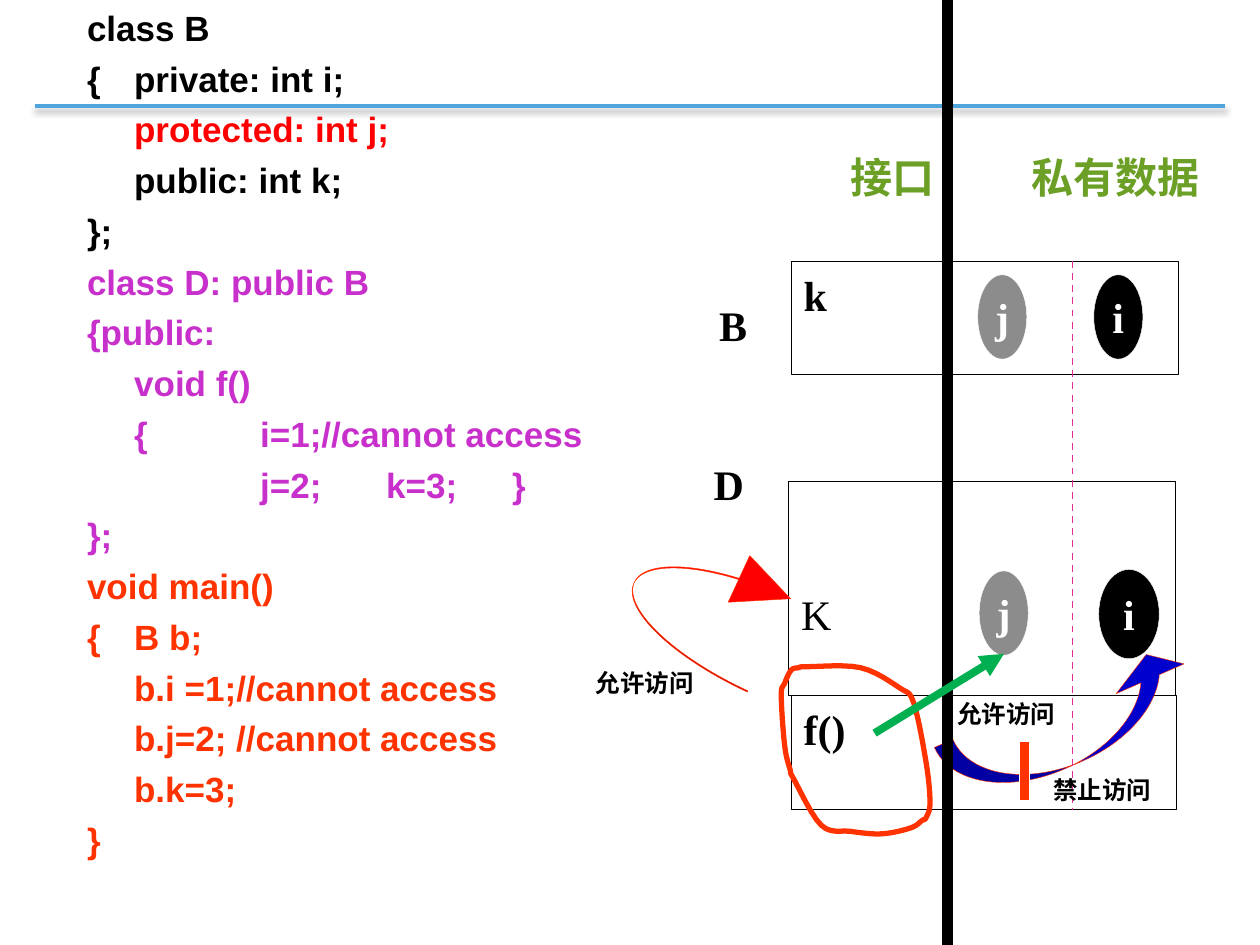
"""Builds the slide on member access under public inheritance in C++."""
from dataclasses import dataclass

from lxml.etree import SubElement
from pptx import Presentation
from pptx.dml.color import RGBColor
from pptx.enum.dml import MSO_LINE
from pptx.enum.shapes import MSO_CONNECTOR, MSO_SHAPE
from pptx.enum.text import MSO_ANCHOR, MSO_AUTO_SIZE, PP_ALIGN
from pptx.oxml.ns import qn
from pptx.util import Cm, Pt

COLORS = {
    "black": "000000", "white": "FFFFFF", "red": "FF0000", "orange": "FF3300",
    "purple": "C830CC", "olive": "6B9F25", "gray": "8C8C8C", "navy": "0000CC",
    "green": "00B050", "pink": "E32D91", "sky": "4EA6DC",
}
SERIF = "Times New Roman"
SANS = "Arial"


@dataclass(frozen=True)
class Box:
    left: float
    top: float
    width: float
    height: float

    def lengths(self) -> tuple:
        return Cm(self.left), Cm(self.top), Cm(self.width), Cm(self.height)


@dataclass(frozen=True)
class Region:
    member: str
    box: Box
    inset: float = 0.17
    bold: bool = True


@dataclass(frozen=True)
class Member:
    name: str
    color: str
    box: Box


@dataclass(frozen=True)
class Label:
    text: str
    box: Box
    color: str = "black"
    size: int = 24
    font: str = SERIF
    align: PP_ALIGN = PP_ALIGN.CENTER
    wrap: bool = True


CODE = [
    ("class B", "black"),
    ("{\tprivate: int i;", "black"),
    ("\tprotected: int j;", "red"),
    ("\tpublic: int k;", "black"),
    ("};", "black"),
    ("class D: public B", "purple"),
    ("{public:", "purple"),
    ("\tvoid f()", "purple"),
    ("\t{\ti=1;//cannot access", "purple"),
    ("\t\tj=2;\tk=3;\t}", "purple"),
    ("};", "purple"),
    ("void main()", "orange"),
    ("{\tB b;", "orange"),
    ("\tb.i =1;//cannot access", "orange"),
    ("\tb.j=2; //cannot access", "orange"),
    ("\tb.k=3;", "orange"),
    ("}", "orange"),
]
REGIONS = [
    Region("K", Box(15.9, 9.7, 7.8, 4.32), inset=2.16, bold=False),
    Region("k", Box(15.95, 5.26, 7.8, 2.29)),
    Region("f()", Box(15.95, 14.02, 7.77, 2.29)),
]
MEMBERS = [
    Member("i", "black", Box(22.05, 5.54, 0.99, 1.7)),
    Member("i", "black", Box(22.15, 11.48, 1.22, 1.8)),
    Member("j", "gray", Box(19.71, 5.54, 0.99, 1.7)),
    Member("j", "gray", Box(19.74, 11.51, 0.99, 1.7)),
]
HEADINGS = [
    Label("接口", Box(15.9, 2.92, 4.19, 1.27), "olive"),
    Label("私有数据", Box(20.4, 2.92, 4.19, 1.27), "olive"),
    Label("B", Box(13.69, 5.92, 2.18, 1.27)),
    Label("D", Box(12.9, 9.12, 3.58, 1.27)),
]
NOTES = [
    Label(text, Box(left, top, 2.51, 0.86), size=14, font=SANS, align=PP_ALIGN.LEFT, wrap=False)
    for text, left, top in [("禁止访问", 20.98, 15.49), ("允许访问", 19.05, 13.97), ("允许访问", 11.76, 13.34)]
]
LOOP = [
    (18.67, 16.48), (18.75, 16.18), (18.67, 15.37), (18.42, 14.17), (18.14, 13.87),
    (17.35, 13.46), (16.28, 13.44), (16.1, 13.46), (15.95, 13.51), (15.82, 13.77),
    (15.75, 14.02), (15.82, 15.04), (15.93, 15.52), (16, 15.7), (16.56, 16.64),
    (17.15, 16.76), (17.78, 16.81), (18.36, 16.69), (18.59, 16.54),
]


def rgb(color: str) -> RGBColor:
    return RGBColor.from_string(COLORS[color])


def write(paragraph, text: str, *, font: str = SERIF, size: int = 24, color: str = "black",
          bold: bool = True, align: PP_ALIGN = PP_ALIGN.LEFT, before: float = 0) -> None:
    paragraph.alignment = align
    paragraph.space_before = Pt(before)
    run = paragraph.add_run()
    run.text = text
    run.font.name, run.font.size, run.font.bold = font, Pt(size), bold
    run.font.color.rgb = rgb(color)


def draw_shape(slide, kind: MSO_SHAPE, box: Box, *, fill: str = "", line: str = "black",
               rotation: float = 0, adjustments: tuple = ()):
    shape = slide.shapes.add_shape(kind, *box.lengths())
    shape.shadow.inherit = False
    shape.rotation = rotation
    for index, value in enumerate(adjustments):
        shape.adjustments[index] = value
    if fill:
        shape.fill.solid()
        shape.fill.fore_color.rgb = rgb(fill)
    else:
        shape.fill.background()
    shape.line.color.rgb = rgb(line)
    shape.line.width = Pt(0.25)
    return shape


def draw_region(slide, region: Region) -> None:
    frame = draw_shape(slide, MSO_SHAPE.RECTANGLE, region.box).text_frame
    frame.vertical_anchor = MSO_ANCHOR.TOP
    frame.margin_top = Cm(region.inset)
    write(frame.paragraphs[0], region.member, bold=region.bold)


def draw_member(slide, member: Member) -> None:
    frame = draw_shape(slide, MSO_SHAPE.OVAL, member.box, fill=member.color, line="white").text_frame
    frame.word_wrap = False
    write(frame.paragraphs[0], member.name, color="white", align=PP_ALIGN.CENTER)


def draw_label(slide, label: Label) -> None:
    frame = slide.shapes.add_textbox(*label.box.lengths()).text_frame
    frame.word_wrap = label.wrap
    write(frame.paragraphs[0], label.text, font=label.font, size=label.size,
          color=label.color, align=label.align)


def draw_line(slide, start: tuple, end: tuple, color: str, width: float, *,
              dashed: bool = False, arrow: bool = False, shadow: bool = False) -> None:
    line = slide.shapes.add_connector(MSO_CONNECTOR.STRAIGHT, *map(Cm, start + end))
    line.line.color.rgb = rgb(color)
    line.line.width = Pt(width)
    if dashed:
        line.line.dash_style = MSO_LINE.DASH
    if arrow:
        SubElement(line.line._get_or_add_ln(), qn("a:tailEnd"), type="triangle")
    effects = SubElement(line._element.spPr, qn("a:effectLst"))
    if shadow:
        outer = SubElement(effects, qn("a:outerShdw"), blurRad=str(Pt(4)), dist=str(Pt(2.5)), dir="5400000")
        SubElement(SubElement(outer, qn("a:srgbClr"), val=COLORS["black"]), qn("a:alpha"), val="47000")


def smooth_loop(points: list, steps: int = 6) -> list:
    curve = []
    for i in range(len(points)):
        corners = [points[(i + shift) % len(points)] for shift in (-1, 0, 1, 2)]
        for t in (step / steps for step in range(steps)):
            curve.append(tuple(
                Cm(0.5 * (2 * b + (c - a) * t + (2 * a - 5 * b + 4 * c - d) * t**2
                          + (3 * b - a - 3 * c + d) * t**3))
                for a, b, c, d in zip(*corners)))
    return curve


def draw_loop(slide) -> None:
    start, *rest = smooth_loop(LOOP)
    builder = slide.shapes.build_freeform(*start)
    builder.add_line_segments(rest, close=True)
    loop = builder.convert_to_shape()
    loop.shadow.inherit = False
    loop.fill.background()
    loop.line.color.rgb = rgb("orange")
    loop.line.width = Pt(3)


def fill_code(body) -> None:
    body.left, body.top, body.width, body.height = Box(1.5, 0, 20.75, 17.15).lengths()
    frame = body.text_frame
    frame.auto_size = MSO_AUTO_SIZE.NONE
    for index, (text, color) in enumerate(CODE):
        paragraph = frame.add_paragraph() if index else frame.paragraphs[0]
        write(paragraph, text, font=SANS, size=20, color=color, before=5)
        properties = paragraph._p.get_or_add_pPr()
        for key, value in (("marL", Cm(0.95)), ("indent", Cm(-0.95)), ("defTabSz", Cm(2.54))):
            properties.set(key, str(value))
        SubElement(properties, qn("a:buNone"))


def main() -> None:
    deck = Presentation()
    deck.slide_width, deck.slide_height = Cm(25.4), Cm(19.05)
    slide = deck.slides.add_slide(deck.slide_layouts[1])
    title = slide.shapes.title._element
    title.getparent().remove(title)
    fill_code(slide.placeholders[1])
    draw_line(slide, (0.71, 2.13), (24.69, 2.13), "sky", 2.25, shadow=True)
    for region in REGIONS:
        draw_region(slide, region)
    draw_loop(slide)
    draw_shape(slide, MSO_SHAPE.CURVED_RIGHT_ARROW, Box(20.88, 11.94, 1.45, 5.41), fill="navy",
               line="orange", rotation=246.3, adjustments=(0.28, 1.03, 0.33))
    draw_shape(slide, MSO_SHAPE.RECTANGLE, Box(20.55, 14.94, 0.2, 1.19), fill="orange", line="white")
    draw_shape(slide, MSO_SHAPE.CURVED_LEFT_ARROW, Box(12.75, 10.85, 3, 2.59), fill="red",
               line="orange", rotation=204.8, adjustments=(0.01, 0.4, 0.43))
    draw_line(slide, (19.1, 0), (19.1, 19.05), "black", 6)
    for member in MEMBERS:
        draw_member(slide, member)
    draw_line(slide, (17.63, 14.78), (20.24, 13.18), "green", 4.5, arrow=True)
    draw_line(slide, (21.62, 5.26), (21.62, 16.33), "pink", 1, dashed=True)
    for label in HEADINGS + NOTES:
        draw_label(slide, label)
    deck.save("out.pptx")


if __name__ == "__main__":
    main()
